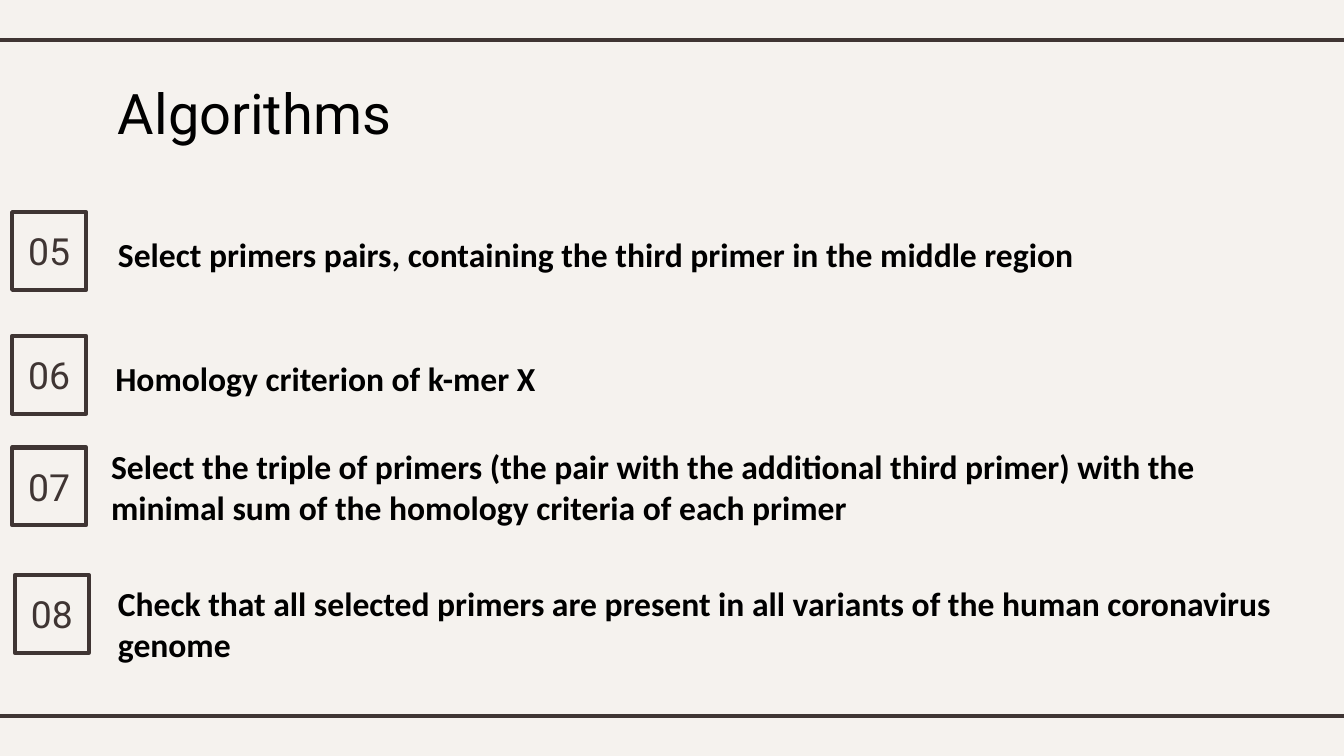
from dataclasses import dataclass

from lxml.etree import SubElement
from pptx import Presentation
from pptx.dml.color import RGBColor as RGB
from pptx.enum.shapes import MSO_CONNECTOR as CONNECTOR, MSO_SHAPE as SHAPE
from pptx.enum.text import MSO_ANCHOR as ANCHOR, PP_ALIGN as ALIGN
from pptx.oxml.ns import qn
from pptx.util import Cm, Pt


@dataclass(frozen=True)
class Theme:
    paper: RGB = RGB(0xF5, 0xF2, 0xEE)
    brown: RGB = RGB(0x3F, 0x35, 0x33)
    black: RGB = RGB(0, 0, 0)
    head_font: str = "Roboto"
    body_font: str = "Calibri"
    title_size: int = 30
    number_size: int = 20
    body_size: int = 18
    line_width: float = 2.25


THEME = Theme()
SLIDE_W, SLIDE_H = 25.4, 14.29

# number, text, badge (left, top), text (left, top), all in cm
STEPS = [
    ("05", "Select primers pairs, containing the third primer in the middle region",
     (0.23, 4.01), (1.98, 4.29)),
    ("06", "Homology criterion of k-mer X",
     (0.23, 6.35), (1.93, 6.65)),
    ("07", "Select the triple of primers (the pair with the additional third primer) "
           "with the minimal sum of the homology criteria of each primer",
     (0.23, 8.46), (1.85, 8.31)),
    ("08", "Check that all selected primers are present in all variants of the "
           "human coronavirus genome",
     (0.28, 10.87), (1.98, 10.9)),
]


def cm_box(*lengths):
    return [Cm(n) for n in lengths]


def write(sp, text, *, font, size, color, bold=False, align=ALIGN.LEFT,
          anchor=ANCHOR.TOP, inset=None):
    tf = sp.text_frame
    tf.word_wrap = True
    tf.vertical_anchor = anchor
    if inset is not None:
        tf.margin_left = tf.margin_right = tf.margin_top = tf.margin_bottom = Cm(inset)
    p = tf.paragraphs[0]
    p.alignment = align
    r = p.add_run()
    r.text = text
    r.font.name, r.font.size, r.font.bold = font, Pt(size), bold
    r.font.color.rgb = color


def add_rule(slide, y):
    """Draw a horizontal line that runs just past both slide edges."""
    line = slide.shapes.add_connector(
        CONNECTOR.STRAIGHT, *cm_box(-0.2, y, SLIDE_W + 0.2, y))
    line.line.color.rgb = THEME.brown
    line.line.width = Pt(THEME.line_width)
    SubElement(line._element.spPr, qn("a:effectLst"))


def add_title(slide, text, box):
    sp = slide.shapes.title
    sp.left, sp.top, sp.width, sp.height = cm_box(*box)
    write(sp, text, font=THEME.head_font, size=THEME.title_size,
          color=THEME.black, inset=0.25)


def add_badge(slide, number, box):
    x, y, w, h = box
    group = slide.shapes.add_group_shape()
    square = group.shapes.add_shape(SHAPE.RECTANGLE, *cm_box(x, y, w, h))
    square.shadow.inherit = False
    square.fill.solid()
    square.fill.fore_color.rgb = THEME.paper
    square.line.color.rgb = THEME.brown
    square.line.width = Pt(THEME.line_width)
    label = group.shapes.add_textbox(*cm_box(x - 0.07, y + 0.2, w + 0.14, h - 0.4))
    write(label, number, font=THEME.head_font, size=THEME.number_size,
          color=THEME.brown, align=ALIGN.CENTER, anchor=ANCHOR.MIDDLE, inset=0.25)


def add_step_text(slide, text, box):
    sp = slide.shapes.add_textbox(*cm_box(*box))
    write(sp, text, font=THEME.body_font, size=THEME.body_size,
          color=THEME.black, bold=True)


def build_steps_slide(prs):
    slide = prs.slides.add_slide(prs.slide_layouts.get_by_name("Title Only"))
    slide.background.fill.solid()
    slide.background.fill.fore_color.rgb = THEME.paper
    for y in (0.76, 13.54):
        add_rule(slide, y)
    add_title(slide, "Algorithms", (1.98, 1.24, 21.44, 1.6))
    for number, text, badge_at, text_at in STEPS:
        add_step_text(slide, text, (*text_at, 22.86, 1.8))
        add_badge(slide, number, (*badge_at, 1.4, 1.47))


def main():
    prs = Presentation()
    prs.slide_width, prs.slide_height = cm_box(SLIDE_W, SLIDE_H)
    build_steps_slide(prs)
    prs.save("out.pptx")


if __name__ == "__main__":
    main()
